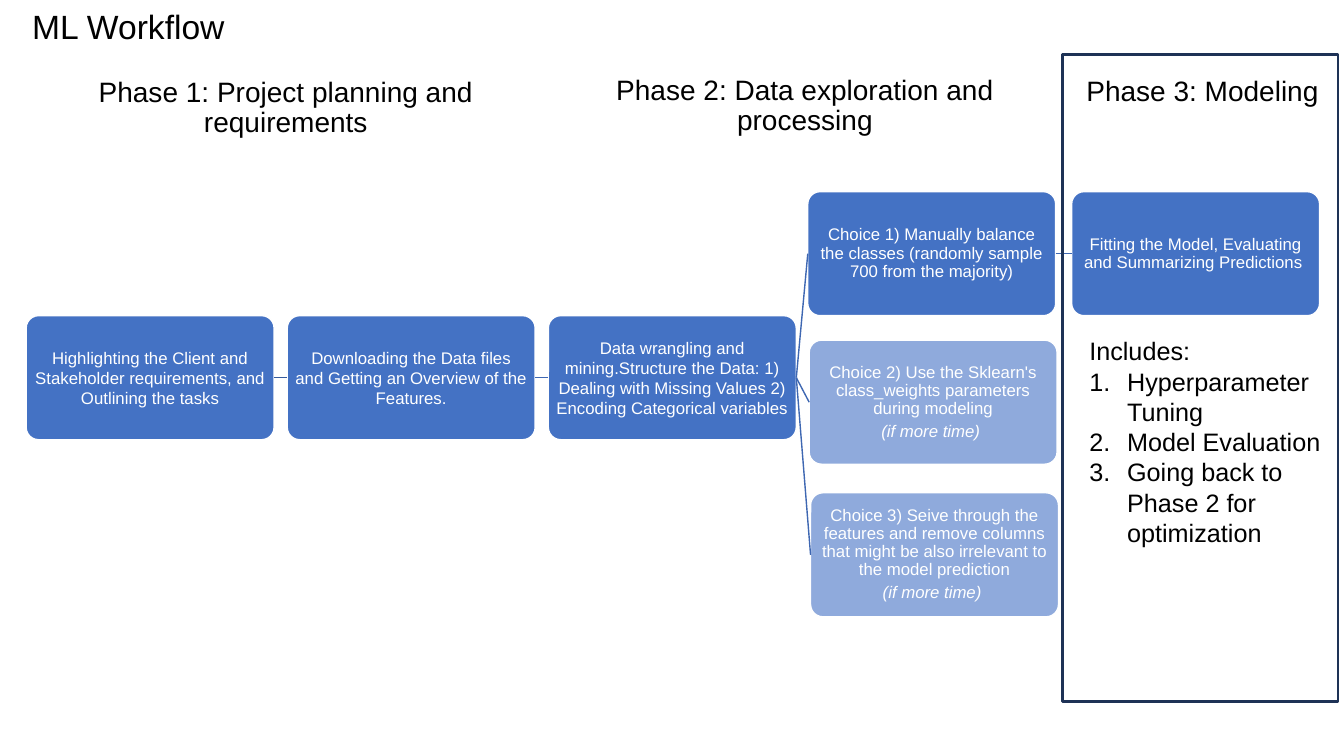
from dataclasses import dataclass

from lxml.etree import SubElement
from pptx import Presentation
from pptx.dml.color import RGBColor
from pptx.enum.shapes import MSO_CONNECTOR as Connector, MSO_SHAPE as Shape
from pptx.enum.text import MSO_ANCHOR as Anchor, MSO_AUTO_SIZE as AutoSize, PP_ALIGN as Align
from pptx.oxml.ns import qn
from pptx.shapes.autoshape import Shape as AutoShape
from pptx.slide import Slide
from pptx.text.text import TextFrame
from pptx.util import Pt

COLORS = {
    "text": "000000",
    "box_text": "FFFFFF",
    "box_line": "FFFFFF",
    "main": "4472C4",
    "optional": "8FAADC",
    "first_link": "365B9D",
    "link": "3E67B2",
    "frame": "1E3256",
}
FONT = "Arial"
STEP_WIDTH, STEP_HEIGHT = 177.1, 88.6
STEP_LEFT, STEP_TOP, STEP_PITCH = 18.7, 225.5, 186.5
TOP_ROW = 136.9
RIGHT_SIDE, LEFT_SIDE = 3, 1
IF_MORE_TIME = "(if more time) "
FRAME_FORMAT = {"word_wrap": True, "auto_size": AutoSize.NONE, "vertical_anchor": Anchor.MIDDLE}
STEP_MARGINS = {f"margin_{side}": Pt(3.2) for side in ("left", "right", "top", "bottom")}


@dataclass
class Step:
    key: str
    text: str
    left: float
    top: float
    spacing: float = 0.9
    optional: bool = False


@dataclass
class Link:
    start: str
    end: str
    color: str = "link"


@dataclass
class Heading:
    text: str
    left: float
    top: float
    width: float


STEPS = [
    Step(key, text, STEP_LEFT + column * STEP_PITCH, STEP_TOP, 1.0)
    for column, (key, text) in enumerate([
        ("requirements", "Highlighting the Client and Stakeholder requirements, and Outlining the tasks"),
        ("download", "Downloading the Data files and Getting an Overview of the Features."),
        ("wrangling", "Data wrangling and mining.Structure the Data: 1) Dealing with "
                      "Missing Values 2) Encoding Categorical variables"),
    ])
] + [
    Step("balance", "Choice 1) Manually balance the classes (randomly sample 700 from the majority)",
         577, TOP_ROW),
    Step("weights", "Choice 2) Use the Sklearn's class_weights parameters during modeling",
         578, 243, optional=True),
    Step("sieve", "Choice 3) Seive through the features and remove columns that might be "
                  "also irrelevant to the model prediction", 579, 352, optional=True),
    Step("fitting", "Fitting the Model, Evaluating and Summarizing Predictions ", 765.5, TOP_ROW),
]
LINKS = [
    Link("requirements", "download", "first_link"),
    Link("download", "wrangling"),
    Link("wrangling", "balance"),
    Link("wrangling", "weights"),
    Link("wrangling", "sieve"),
    Link("balance", "fitting"),
]
HEADINGS = [
    Heading("Phase 1: Project planning and requirements", 24.5, 25.2, 359.3),
    Heading("Phase 2: Data exploration and processing", 395.3, 23.8, 359.3),
    Heading("Phase 3: Modeling ", 767.5, 13.7, 182.9),
]
HEADING_HEIGHT = 104.4
INCLUDES = ["Hyperparameter Tuning", "Model Evaluation", "Going back to Phase 2 for optimization"]


def rgb(name: str) -> RGBColor:
    return RGBColor.from_string(COLORS[name])


def apply(target: object, values: dict) -> None:
    for name, value in values.items():
        setattr(target, name, value)


def write(frame: TextFrame, lines: list[str], size: float, color: str = "text",
          align: Align = Align.CENTER, spacing: float = 0.9) -> None:
    for index, line in enumerate(lines):
        paragraph = frame.add_paragraph() if index else frame.paragraphs[0]
        apply(paragraph, {"alignment": align, "line_spacing": spacing})
        run = paragraph.add_run()
        run.text = line
        apply(run.font, {"name": FONT, "size": Pt(size), "bold": False})
        run.font.color.rgb = rgb(color)


def draw_step(slide: Slide, step: Step) -> AutoShape:
    box = slide.shapes.add_shape(Shape.ROUNDED_RECTANGLE, Pt(step.left), Pt(step.top),
                                 Pt(STEP_WIDTH), Pt(STEP_HEIGHT))
    box.adjustments[0] = 0.1
    box.shadow.inherit = False
    box.fill.solid()
    box.fill.fore_color.rgb = rgb("optional" if step.optional else "main")
    box.line.color.rgb = rgb("box_line")
    box.line.width = Pt(1)
    apply(box.text_frame, FRAME_FORMAT | STEP_MARGINS)
    lines = [step.text, IF_MORE_TIME] if step.optional else [step.text]
    write(box.text_frame, lines, 12, "box_text", spacing=step.spacing)
    for note in box.text_frame.paragraphs[1:]:
        note.space_before = Pt(3.5)
        note.runs[0].font.italic = True
    return box


def draw_link(slide: Slide, link: Link, boxes: dict[str, AutoShape]) -> None:
    line = slide.shapes.add_connector(Connector.STRAIGHT, 0, 0, 0, 0)
    line.begin_connect(boxes[link.start], RIGHT_SIDE)
    line.end_connect(boxes[link.end], LEFT_SIDE)
    line.line.color.rgb = rgb(link.color)
    line.line.width = Pt(1)
    SubElement(line.element.spPr, qn("a:effectLst"))


def draw_title(slide: Slide) -> None:
    title = slide.shapes.title
    apply(title, {"left": Pt(15.8), "top": Pt(-31.7), "width": Pt(828), "height": Pt(104.4)})
    apply(title.text_frame, FRAME_FORMAT)
    write(title.text_frame, ["ML Workflow"], 24, align=Align.LEFT)


def draw_heading(slide: Slide, heading: Heading) -> None:
    label = slide.shapes.add_textbox(Pt(heading.left), Pt(heading.top),
                                     Pt(heading.width), Pt(HEADING_HEIGHT))
    apply(label.text_frame, FRAME_FORMAT)
    write(label.text_frame, [heading.text], 20)


def draw_includes(slide: Slide) -> None:
    includes = slide.shapes.add_textbox(Pt(771), Pt(236.2), Pt(179.3), Pt(181.4))
    includes.text_frame.word_wrap = True
    write(includes.text_frame, ["Includes:", *INCLUDES], 18, align=Align.LEFT, spacing=1.0)
    for item in includes.text_frame.paragraphs[1:]:
        properties = item._p.get_or_add_pPr()
        properties.set("marL", str(Pt(27)))
        properties.set("indent", str(Pt(-27)))
        SubElement(properties, qn("a:buFont"), typeface="+mj-lt")
        SubElement(properties, qn("a:buAutoNum"), type="arabicPeriod")


def draw_modeling_frame(slide: Slide) -> None:
    frame = slide.shapes.add_shape(Shape.RECTANGLE, Pt(759), Pt(38.9), Pt(196.6), Pt(462.3))
    frame.shadow.inherit = False
    frame.fill.background()
    frame.line.color.rgb = rgb("frame")
    frame.line.width = Pt(1.75)


def main() -> None:
    deck = Presentation()
    apply(deck, {"slide_width": Pt(960), "slide_height": Pt(540)})
    slide = deck.slides.add_slide(deck.slide_layouts[5])
    draw_title(slide)
    boxes = {step.key: draw_step(slide, step) for step in STEPS}
    for link in LINKS:
        draw_link(slide, link, boxes)
    for heading in HEADINGS:
        draw_heading(slide, heading)
    draw_includes(slide)
    draw_modeling_frame(slide)
    deck.save("out.pptx")


if __name__ == "__main__":
    main()
